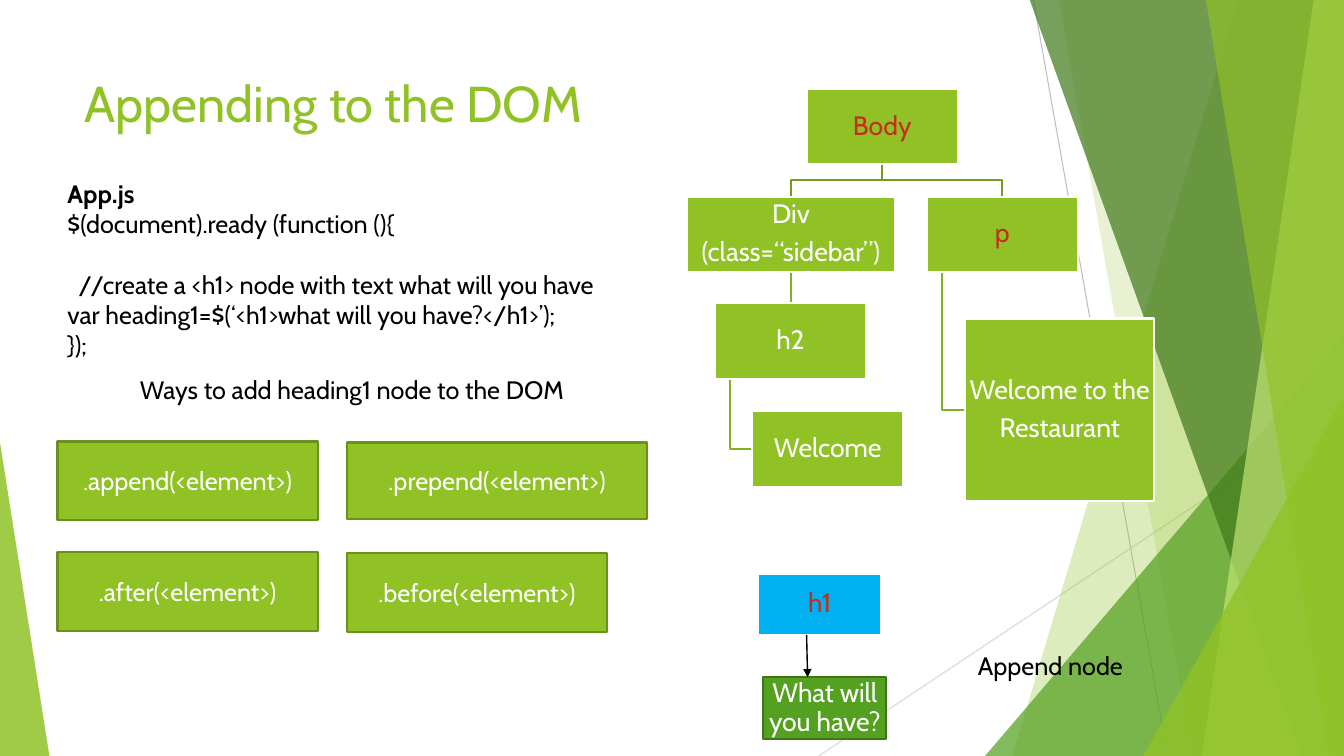
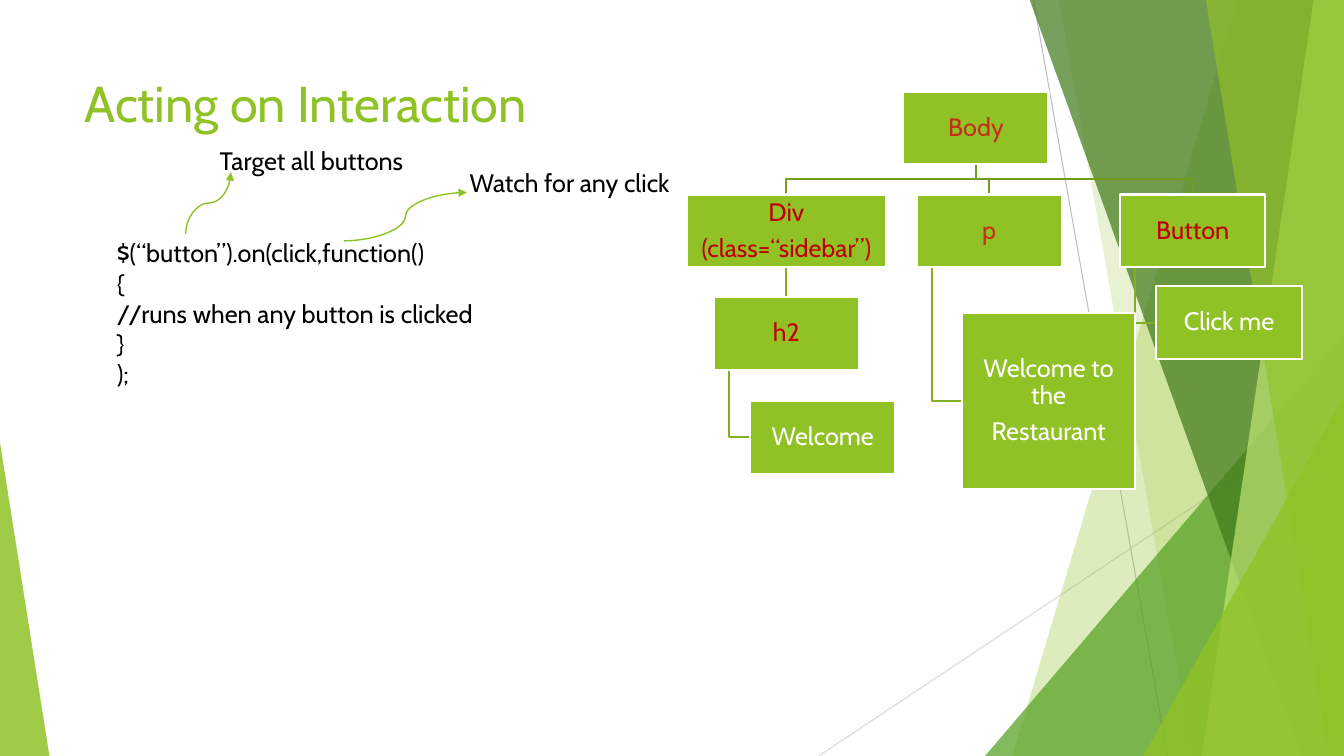
from dataclasses import dataclass

from lxml.etree import SubElement
from pptx import Presentation
from pptx.dml.color import RGBColor
from pptx.enum.shapes import MSO_CONNECTOR, MSO_SHAPE
from pptx.enum.text import MSO_ANCHOR, MSO_AUTO_SIZE, PP_ALIGN
from pptx.oxml.ns import qn
from pptx.util import Inches, Pt

WIDTH, HEIGHT = 13.33, 7.5
FONT = "Cabin"
LIME, GREEN, WHITE, BLACK = "90C226", "54A021", "FFFFFF", "000000"
BUTTON_EDGE, LEAF_EDGE = "6B901C", "3E7618"
TRUNK, BRANCH = "739B1E", "83B022"
RED, DARK_RED = "C42F1A", "C00000"


@dataclass
class Node:
    """A box of the document tree."""
    left: float
    top: float
    width: float
    height: float
    lines: list
    color: str = WHITE
    fill: str = LIME
    edge: str = WHITE

    @property
    def center(self):
        """Return the horizontal middle."""
        return self.left + self.width / 2

    @property
    def middle(self):
        """Return the vertical middle."""
        return self.top + self.height / 2

    @property
    def bottom(self):
        """Return the lower edge."""
        return self.top + self.height


def rgb(value):
    """Turn a hex string into a colour."""
    return RGBColor.from_string(value)


def paint(shape, fill=None, alpha=100, edge=None, weight=1.5):
    """Set fill, opacity in percent and outline of a shape."""
    shape.shadow.inherit = False
    if fill:
        shape.fill.solid()
        shape.fill.fore_color.rgb = rgb(fill)
        if alpha < 100:
            color = shape._element.spPr.find(qn("a:solidFill"))[0]
            SubElement(color, qn("a:alpha")).set("val", str(alpha * 1000))
    else:
        shape.fill.background()
    if edge:
        shape.line.color.rgb = rgb(edge)
        shape.line.width = Pt(weight)
    else:
        shape.line.fill.background()


def write(frame, lines, size, color, align=PP_ALIGN.LEFT):
    """Write one paragraph per line."""
    for index, line in enumerate(lines):
        paragraph = frame.add_paragraph() if index else frame.paragraphs[0]
        paragraph.text = line
        paragraph.alignment = align
        paragraph.font.name = FONT
        paragraph.font.size = Pt(size)
        paragraph.font.color.rgb = rgb(color)


def add_text(slide, left, top, width, height, lines, size=18, color=BLACK, wrap=False):
    """Add a text box and return its frame."""
    box = slide.shapes.add_textbox(Inches(left), Inches(top), Inches(width), Inches(height))
    frame = box.text_frame
    frame.word_wrap = wrap
    frame.auto_size = MSO_AUTO_SIZE.NONE if wrap else MSO_AUTO_SIZE.SHAPE_TO_FIT_TEXT
    write(frame, lines, size, color)
    return frame


def add_box(slide, left, top, width, height, lines, size, color, fill, edge):
    """Add a rectangle with centred text and return its frame."""
    shape = slide.shapes.add_shape(
        MSO_SHAPE.RECTANGLE, Inches(left), Inches(top), Inches(width), Inches(height))
    paint(shape, fill, edge=edge)
    frame = shape.text_frame
    frame.word_wrap = True
    frame.vertical_anchor = MSO_ANCHOR.MIDDLE
    write(frame, lines, size, color, PP_ALIGN.CENTER)
    return frame


def add_outline(slide, points, closed):
    """Add a freeform through the points."""
    corners = [(Inches(x), Inches(y)) for x, y in points]
    builder = slide.shapes.build_freeform(*corners[0], scale=1.0)
    builder.add_line_segments(corners[1:], close=closed)
    return builder.convert_to_shape()


def add_line(slide, start, end, color, weight, arrow=False, kind=MSO_CONNECTOR.STRAIGHT):
    """Add a connector, with an arrowhead at its end if asked."""
    connector = slide.shapes.add_connector(kind, *(Inches(value) for value in (*start, *end)))
    connector.line.color.rgb = rgb(color)
    connector.line.width = Pt(weight)
    if arrow:
        SubElement(connector.line._get_or_add_ln(), qn("a:tailEnd")).set("type", "triangle")
    SubElement(connector._element.spPr, qn("a:effectLst"))
    return connector


def add_upright_curve(slide, start, end):
    """Add a curved arrow that leaves vertically, as a quarter-turned connector."""
    center_x, center_y = (start[0] + end[0]) / 2, (start[1] + end[1]) / 2
    turned = [(center_x + y - center_y, center_y - x + center_x) for x, y in (start, end)]
    connector = add_line(slide, *turned, LIME, 1, True, MSO_CONNECTOR.CURVE)
    connector._element.spPr.find(qn("a:xfrm")).set("rot", str(90 * 60000))


def add_facet(slide, top_x, bottom_x, color, alpha):
    """Add a band from a slanted left side to the right slide edge."""
    points = [(top_x, -0.01), (WIDTH, -0.01), (WIDTH, HEIGHT), (bottom_x, HEIGHT)]
    paint(add_outline(slide, points, True), color, alpha)


def add_corner(slide, left, top, width, color, alpha, peak=1):
    """Add a right triangle that stands on the slide's lower edge."""
    shape = slide.shapes.add_shape(
        MSO_SHAPE.ISOSCELES_TRIANGLE, Inches(left), Inches(top),
        Inches(width), Inches(HEIGHT - top))
    shape.adjustments[0] = peak
    paint(shape, color, alpha)


def add_slide(presentation, title):
    """Add a slide with the shared background and title."""
    slide = presentation.slides.add_slide(presentation.slide_layouts[6])
    add_line(slide, (10.25, 0), (11.58, HEIGHT), "BFBFBF", 0.75)
    add_line(slide, (WIDTH, 4.03), (8.12, HEIGHT), "D9D9D9", 0.75)
    add_facet(slide, 12.28, 10.04, LIME, 30)
    add_facet(slide, 10.5, 11.83, LIME, 20)
    add_corner(slide, 9.77, 3.33, 3.56, GREEN, 72)
    add_facet(slide, 10.21, 12.91, "3F7819", 70)
    add_facet(slide, 13.03, 11.92, "C0E474", 70)
    add_facet(slide, 11.96, 13.18, LIME, 65)
    add_corner(slide, 11.34, 3.93, 1.99, LIME, 80)
    add_corner(slide, 0, 4.39, 0.49, LIME, 85, peak=0)
    add_text(slide, 0.74, 0.67, 9.4, 1.44, [title], 36, LIME, wrap=True)
    return slide


def add_node(slide, node, size):
    """Draw a tree node."""
    frame = add_box(slide, node.left, node.top, node.width, node.height,
                    node.lines, size, node.color, node.fill, node.edge)
    frame.margin_left = frame.margin_right = Inches(0.02)
    frame.margin_top = frame.margin_bottom = Inches(0.01)
    for paragraph in frame.paragraphs:
        paragraph.line_spacing = 0.9
        paragraph.space_after = Pt(round(0.35 * size, 1))


def add_fork(slide, parent, child):
    """Link a parent to a child in the row below."""
    turn = (parent.bottom + child.top) / 2
    points = [(parent.center, parent.bottom), (parent.center, turn),
              (child.center, turn), (child.center, child.top)]
    paint(add_outline(slide, points, False), edge=TRUNK)


def add_hook(slide, parent, child):
    """Link a parent to the left side of a child hung below it."""
    stem = parent.left + 0.15
    points = [(stem, parent.bottom), (stem, child.middle), (child.left, child.middle)]
    paint(add_outline(slide, points, False), edge=BRANCH)


def add_tree(slide, size, body, division, heading, welcome, extra_pairs):
    """Draw the document tree, links first."""
    for parent, child in [(heading, welcome), *extra_pairs]:
        add_hook(slide, parent, child)
    for child in [division, *(parent for parent, _ in extra_pairs)]:
        add_fork(slide, body, child)
    add_line(slide, (division.center, division.bottom),
             (division.center, heading.top), BRANCH, 1.5)
    nodes = [body, division, heading, welcome]
    for node in nodes + [node for pair in extra_pairs for node in pair]:
        add_node(slide, node, size)


def build_appending(presentation):
    """Build the slide on adding nodes."""
    slide = add_slide(presentation, "Appending to the DOM")
    add_node(slide, Node(7.52, 5.69, 1.22, 0.61, ["h1"], RED, "00B0F0"), 19)
    add_node(slide, Node(7.57, 6.72, 1.22, 0.61, ["What will you have?"],
                         fill=GREEN, edge=LEAF_EDGE), 19)
    add_line(slide, (8, 6.3), (8.01, 6.72), BLACK, 1, arrow=True)
    add_text(slide, 9.6, 6.4, 1.68, 0.4, ["Append node"])
    code = add_text(slide, 0.57, 1.72, 6.67, 1.92, [
        "App.js",
        "$(document).ready (function (){",
        "  //create a <h1> node with text what will you have",
        "var heading1=$(‘<h1>what will you have?</h1>’);",
        "});",
    ], wrap=True)
    code.paragraphs[0].font.bold = True
    code.paragraphs[2].space_before = Pt(21.6)
    add_text(slide, 1.29, 3.66, 4.63, 0.4, ["Ways to add heading1 node to the DOM"])
    methods = [[("append", 2.58), ("prepend", 2.98)], [("after", 2.58), ("before", 2.58)]]
    for row, pair in enumerate(methods):
        for column, (method, width) in enumerate(pair):
            add_box(slide, 0.57 + 2.87 * column, 4.38 + 1.1 * row + 0.01 * column, width,
                    0.78 if column == 0 or row else 0.76,
                    [f".{method}(<element>)"], 18, WHITE, LIME, BUTTON_EDGE)
    add_tree(
        slide, 19,
        Node(8, 0.88, 1.5, 0.75, ["Body"], RED),
        Node(6.81, 1.95, 2.07, 0.75, ["Div", "(class=“sidebar”)"]),
        Node(7.09, 3.01, 1.5, 0.75, ["h2"]),
        Node(7.46, 4.08, 1.5, 0.75, ["Welcome"]),
        [(Node(9.19, 1.95, 1.5, 0.75, ["p"], RED),
          Node(9.57, 3.16, 1.88, 1.81, ["Welcome to the", "Restaurant"]))])


def build_interaction(presentation):
    """Build the slide on reacting to clicks."""
    slide = add_slide(presentation, "Acting on Interaction")
    add_tree(
        slide, 18,
        Node(8.96, 0.91, 1.44, 0.72, ["Body"], RED),
        Node(6.81, 1.93, 1.98, 0.72, ["Div", "(class=“sidebar”)"], DARK_RED),
        Node(7.08, 2.95, 1.44, 0.72, ["h2"], DARK_RED),
        Node(7.44, 3.98, 1.44, 0.72, ["Welcome"]),
        [(Node(9.09, 1.93, 1.44, 0.72, ["p"], RED),
          Node(9.54, 3.11, 1.72, 1.74, ["Welcome to the", "Restaurant"])),
         (Node(11.11, 1.93, 1.44, 0.72, ["Button"], DARK_RED),
          Node(11.47, 2.84, 1.44, 0.72, ["Click me"]))])
    add_text(slide, 1.06, 2.31, 4.05, 1.62, [
        "$(“button”).on(click,function()", "{",
        "//runs when any button is clicked", "}", ");"])
    add_upright_curve(slide, (1.84, 2.32), (2.29, 1.71))
    add_text(slide, 2.08, 1.39, 2.2, 0.4, ["Target all buttons"])
    add_line(slide, (3.41, 2.39), (4.63, 1.91), LIME, 1, True, MSO_CONNECTOR.CURVE)
    add_text(slide, 4.56, 1.61, 2.37, 0.4, ["Watch for any click"])


def main():
    """Build and save the presentation."""
    presentation = Presentation()
    presentation.slide_width = Inches(WIDTH)
    presentation.slide_height = Inches(HEIGHT)
    build_appending(presentation)
    build_interaction(presentation)
    presentation.save("out.pptx")


if __name__ == "__main__":
    main()
